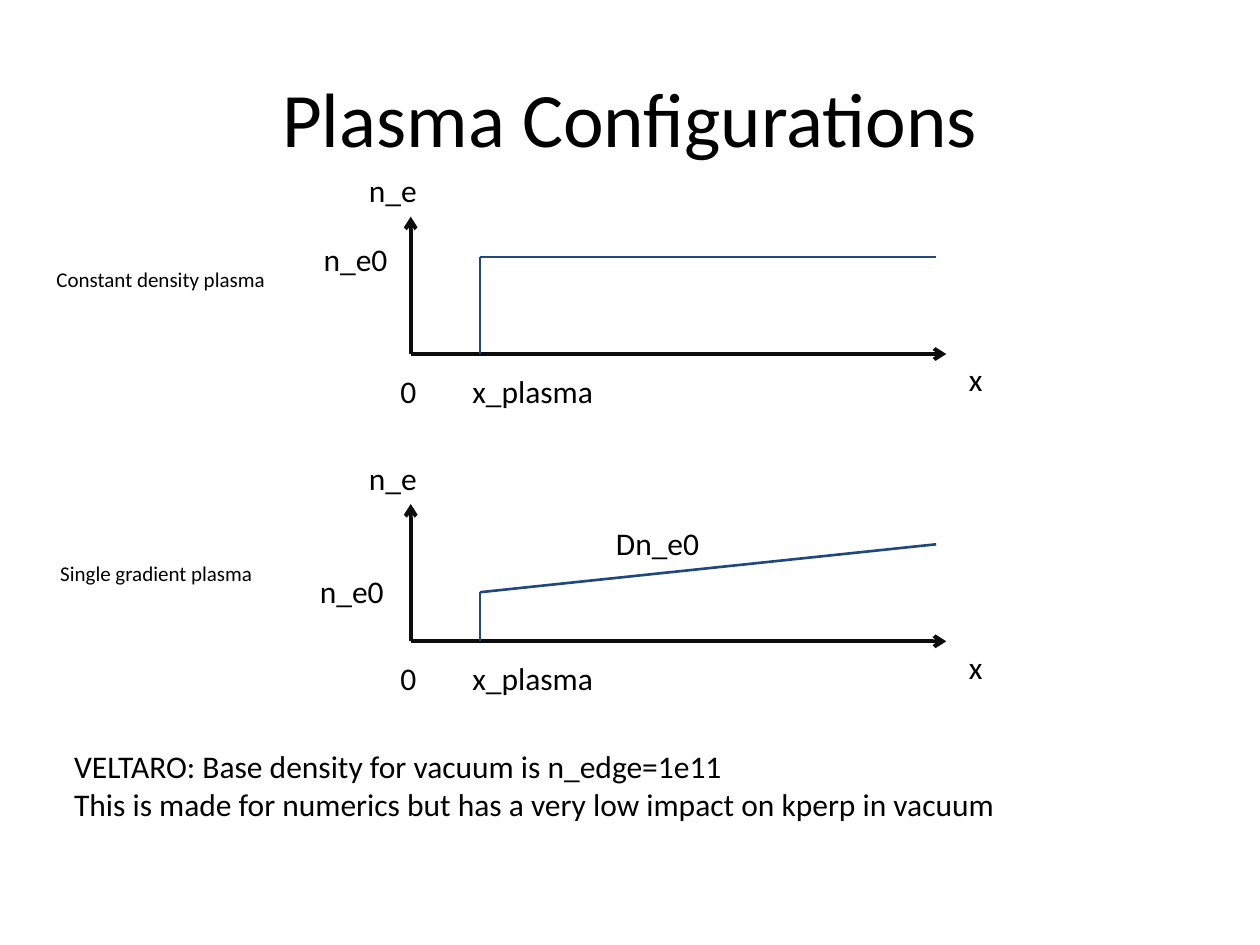
from lxml import etree
from pptx import Presentation
from pptx import util as u
from pptx.dml import color
from pptx.enum import shapes, text
from pptx.oxml import ns

BLACK, AXIS, DENSITY = "000000", "0D0D0D", "1F497D"

presentation = Presentation()
presentation.slide_width = u.Inches(10)
presentation.slide_height = u.Inches(7.5)
slide = presentation.slides.add_slide(presentation.slide_layouts[6])


def add_text(lines, left, top, width, height=0.4, size=18, title=False):
    shape = slide.shapes.add_textbox(*map(u.Inches, (left, top, width, height)))
    frame = shape.text_frame
    frame.word_wrap = title
    if title:
        frame.vertical_anchor = text.MSO_ANCHOR.MIDDLE
    else:
        frame.auto_size = text.MSO_AUTO_SIZE.SHAPE_TO_FIT_TEXT
    for index, line in enumerate(lines):
        paragraph = frame.add_paragraph() if index else frame.paragraphs[0]
        paragraph.alignment = text.PP_ALIGN.CENTER if title else text.PP_ALIGN.LEFT
        run = paragraph.add_run()
        run.text = line
        run.font.name = "Calibri"
        run.font.size = u.Pt(size)
        run.font.color.rgb = color.RGBColor.from_string(BLACK)


def add_line(start, end, line_color, width, arrow=False):
    connector = slide.shapes.add_connector(
        shapes.MSO_CONNECTOR.STRAIGHT, *map(u.Inches, (*start, *end)))
    connector.line.color.rgb = color.RGBColor.from_string(line_color)
    connector.line.width = u.Pt(width)
    properties = connector._element.spPr
    if arrow:
        etree.SubElement(properties.find(ns.qn("a:ln")), ns.qn("a:tailEnd"), type="arrow")
    etree.SubElement(properties, ns.qn("a:effectLst"))


# Title
add_text(["Plasma Configurations"], 0.5, 0.3, 9, 1.25, size=44, title=True)

# Density plots: baseline, density at the edge and at the far end, n_e0 label position
origin_x, edge_x, end_x = 3.26, 3.81, 7.43
plots = [
    (2.81, 2.04, 2.04, (2.47, 1.86)),
    (5.09, 4.7, 4.32, (2.44, 4.49)),
]
for base, edge_y, end_y, density_label in plots:
    # Axes
    add_line((origin_x, base), (7.51, base), AXIS, 2.25, arrow=True)
    add_line((origin_x, base), (origin_x, base - 1.09), AXIS, 2.25, arrow=True)
    # Density profile
    add_line((edge_x, base), (edge_x, edge_y), DENSITY, 1.5)
    add_line((edge_x, edge_y), (end_x, end_y), DENSITY, 1.5)
    # Axis labels
    add_text(["n_e"], 2.83, base - 1.5, 0.59)
    add_text(["n_e0"], *density_label, 0.72)
    add_text(["0"], 3.08, base + 0.09, 0.33)
    add_text(["x_plasma"], 3.65, base + 0.09, 1.17)
    add_text(["x"], 7.59, base, 0.31)

# Gradient label
add_text(["Dn_e0"], 4.79, 4.11, 0.87)

# Plot captions
add_text(["Constant density plasma"], 0.35, 2.07, 1.87, 0.3, size=12)
add_text(["Single gradient plasma"], 0.38, 4.4, 1.74, 0.3, size=12)

# Remark on the vacuum density
add_text(["VELTARO: Base density for vacuum is n_edge=1e11",
          "This is made for numerics but has a very low impact on kperp in vacuum"],
         0.49, 5.88, 7.6, 0.71)

presentation.save("out.pptx")
